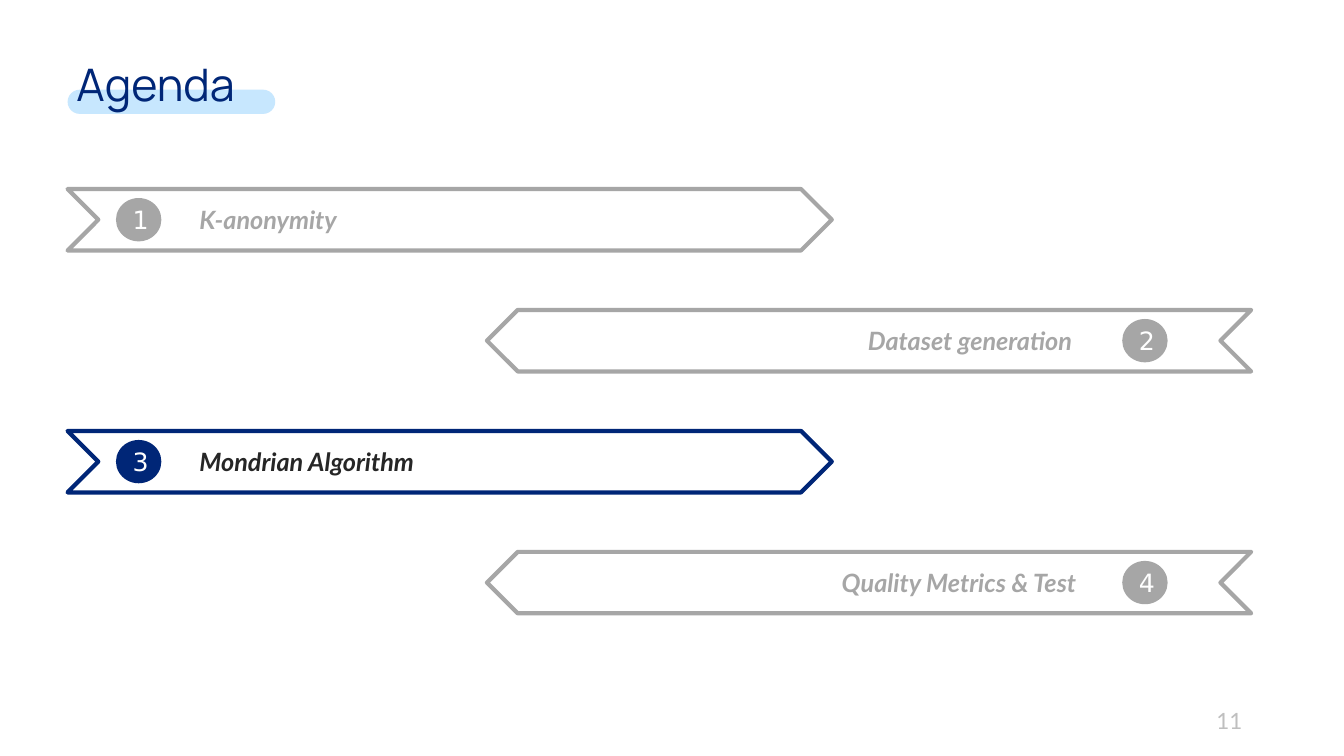
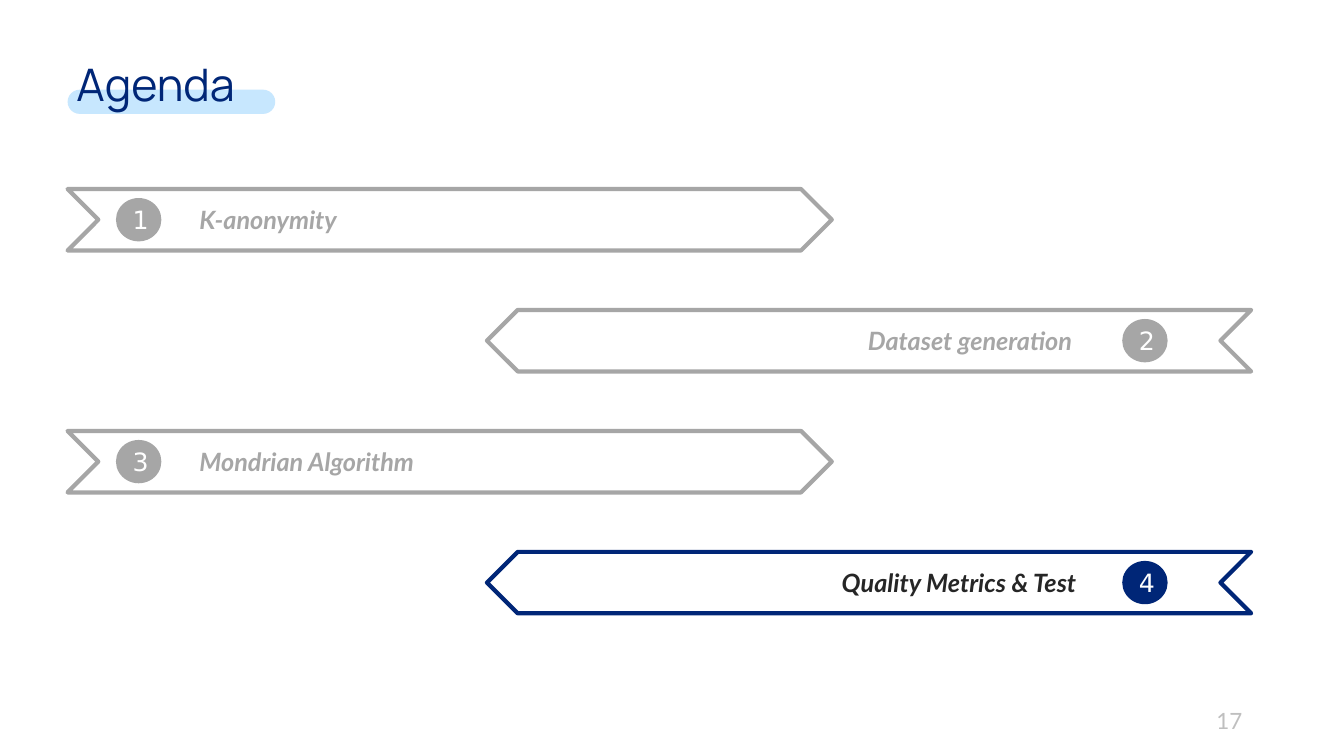
"""Build the agenda slides, each highlighting its current section."""
from pptx import Presentation
from pptx.dml.color import RGBColor
from pptx.enum.shapes import MSO_SHAPE as Shape
from pptx.enum.text import MSO_ANCHOR as Anchor, PP_ALIGN as Align
from pptx.oxml.ns import qn
from pptx.util import Inches, Pt
from lxml.etree import SubElement

WHITE = RGBColor(0xFF, 0xFF, 0xFF)
NAVY = RGBColor(0x00, 0x26, 0x77)
SKY = RGBColor(0xA3, 0xD7, 0xFE)
GRAY = RGBColor(0xA6, 0xA6, 0xA6)
PALE_GRAY = RGBColor(0xBF, 0xBF, 0xBF)
INK = RGBColor(0x26, 0x26, 0x26)

TITLE = {"name": "Manrope", "size": Pt(32)}
BADGE = {"name": "DejaVu Sans", "size": Pt(18)}
LABEL = {"name": "Lato", "size": Pt(18), "bold": True, "italic": True}
PAGE = {"name": "Lato", "size": Pt(16)}

FIRST_ROW, ROW_STEP = 25, 16
BAND_WIDTH, BAND_HEIGHT = 56.86, 8.13
BADGE_WIDTH, BADGE_HEIGHT = 3.38, 5.73
LABEL_HEIGHT = 5.33
SIDES = (
    {"band": 5.03, "badge": 8.63, "rotation": 0},
    {"band": 36.23, "badge": 83.5, "rotation": 180},
)
SECTIONS = (
    ("K-anonymity", 14.1, 15.3),
    ("Dataset generation", 63.84, 18.08),
    ("Mondrian Algorithm", 14.1, 19.05),
    ("Quality Metrics & Test", 61.89, 19.95),
)
AGENDAS = ((3, 11), (4, 17))


class AgendaDeck:
    """Draw styled agenda elements, placed in percent of the slide size."""

    def __init__(self):
        self.deck = Presentation()
        self.deck.slide_width = Inches(13.33)
        self.deck.slide_height = Inches(7.5)
        self.slide = None

    def new_slide(self):
        self.slide = self.deck.slides.add_slide(self.deck.slide_layouts[6])

    def place(self, left, top, width, height):
        across, down = self.deck.slide_width / 100, self.deck.slide_height / 100
        return (round(left * across), round(top * down),
                round(width * across), round(height * down))

    def shape(self, kind, box, fill, line=None):
        shape = self.slide.shapes.add_shape(kind, *self.place(*box))
        shape.shadow.inherit = False
        shape.fill.solid()
        shape.fill.fore_color.rgb = fill
        if line is None:
            shape.line.fill.background()
        else:
            shape.line.color.rgb = line
            shape.line.width = Pt(3)
        return shape

    def fill_text(self, frame, text, style, color, align=Align.LEFT):
        frame.word_wrap = True
        frame.vertical_anchor = Anchor.MIDDLE
        paragraph = frame.paragraphs[0]
        paragraph.alignment = align
        run = paragraph.add_run()
        run.text = text
        for attribute, value in style.items():
            setattr(run.font, attribute, value)
        run.font.color.rgb = color

    def text(self, box, *content):
        textbox = self.slide.shapes.add_textbox(*self.place(*box))
        self.fill_text(textbox.text_frame, *content)

    def title(self, text):
        highlight = self.shape(Shape.ROUNDED_RECTANGLE, (5.03, 11.87, 15.45, 3.2), SKY)
        highlight.adjustments[0] = 0.5
        color = highlight.element.spPr.find(qn("a:solidFill"))[0]
        SubElement(color, qn("a:alpha")).set("val", "60000")
        self.text((4.95, 3.07, 15.53, 16), text, TITLE, NAVY)

    def section(self, number, current):
        name, label_left, label_width = SECTIONS[number - 1]
        side = SIDES[(number - 1) % 2]
        accent, ink = (NAVY, INK) if current else (GRAY, GRAY)
        top = FIRST_ROW + (number - 1) * ROW_STEP
        middle = top + BAND_HEIGHT / 2
        band = self.shape(Shape.CHEVRON, (side["band"], top, BAND_WIDTH, BAND_HEIGHT),
                          WHITE, accent)
        band.rotation = side["rotation"]
        badge = self.shape(Shape.OVAL, (side["badge"], middle - BADGE_HEIGHT / 2,
                                        BADGE_WIDTH, BADGE_HEIGHT), accent)
        self.fill_text(badge.text_frame, str(number), BADGE, WHITE, Align.CENTER)
        self.text((label_left, middle - LABEL_HEIGHT / 2, label_width, LABEL_HEIGHT),
                  name, LABEL, ink)

    def page_number(self, number):
        self.text((70.67, 92.67, 22.5, 5.33), str(number), PAGE, PALE_GRAY, Align.RIGHT)

    def agenda(self, current, page):
        self.new_slide()
        self.page_number(page)
        for number in range(1, len(SECTIONS) + 1):
            self.section(number, number == current)
        self.title("Agenda")


def main():
    agenda_deck = AgendaDeck()
    for current, page in AGENDAS:
        agenda_deck.agenda(current, page)
    agenda_deck.deck.save("out.pptx")


if __name__ == "__main__":
    main()
